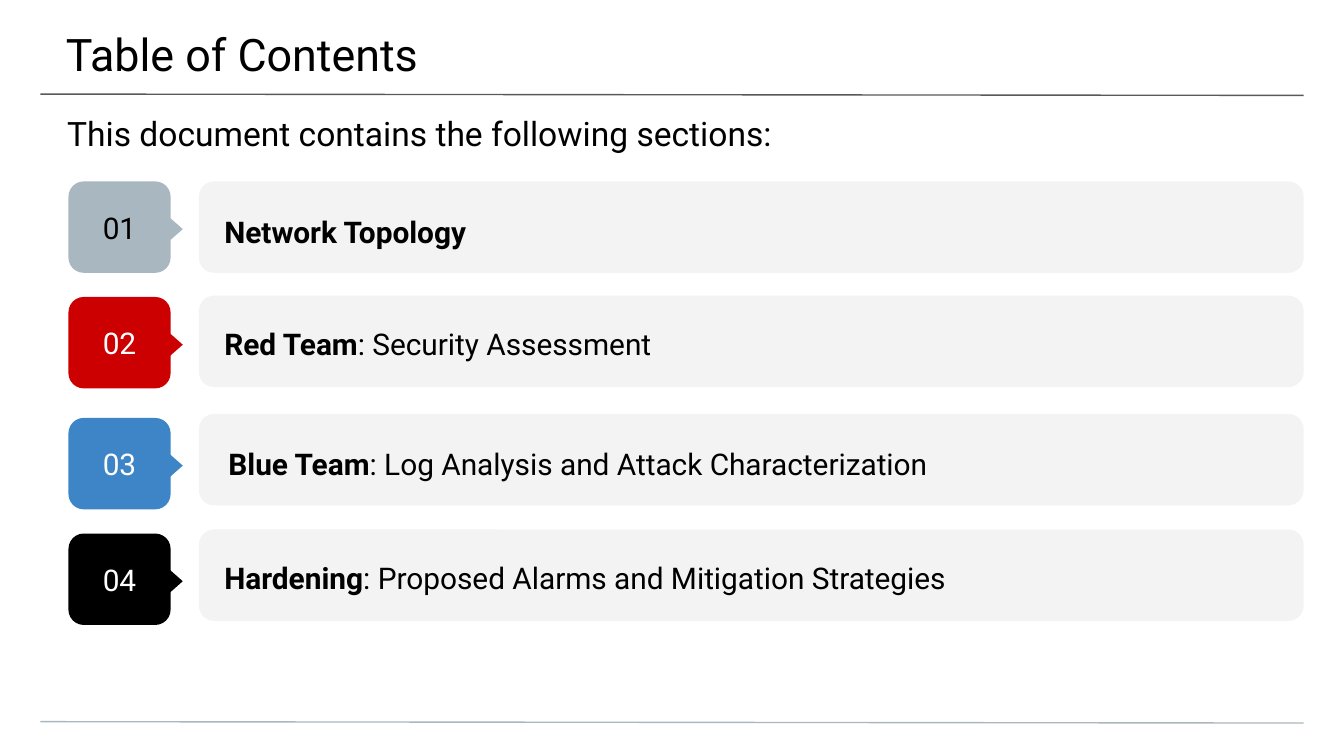
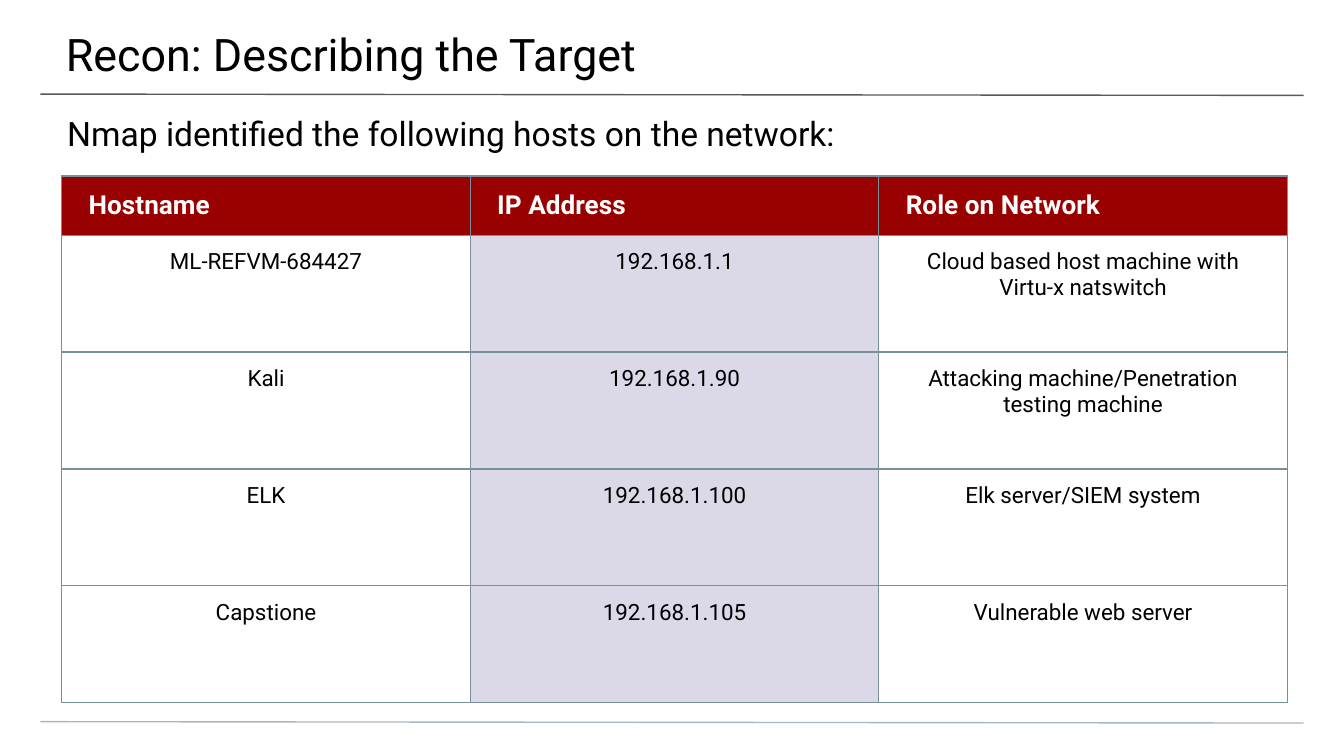
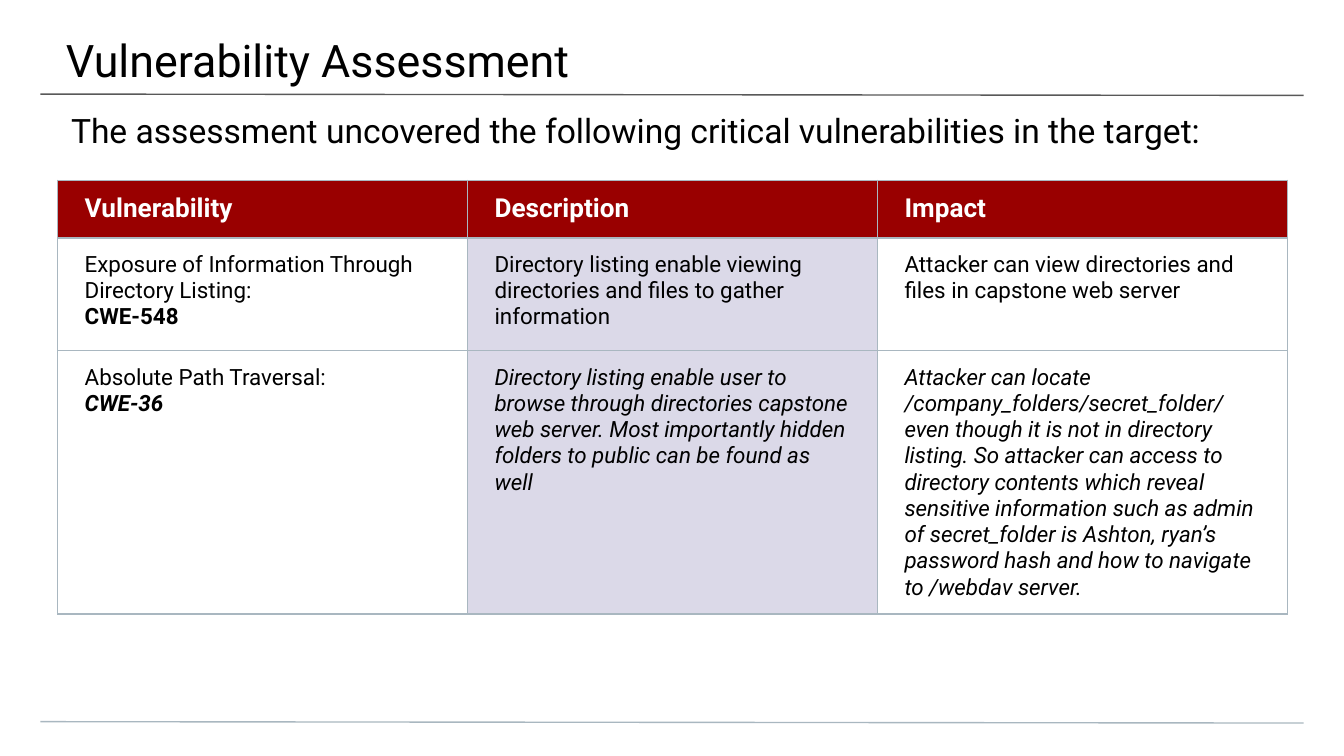
from lxml import etree
from pptx import Presentation
from pptx.dml.color import RGBColor
from pptx.enum import shapes, text
from pptx.oxml.ns import qn
from pptx.util import Inches, Pt

# Shared style
PAGE_WIDTH = 10
PAGE_HEIGHT = PAGE_WIDTH * 9 / 16
FONT = "Roboto"
BLACK, WHITE = "000000", "FFFFFF"
PANEL, STEEL, RULE = "F3F3F3", "A9B7C0", "595959"
HEADER, MIDDLE, SLATE = "990000", "DBD9E8", "78909C"
RULES = [(0.7, RULE), (5.37, STEEL)]
TITLE_INSETS = (0.5, 0.2, 0.3, 0.1)
LEAD_INSETS = (0.5, 0.1, 0.5, 0)
CELL_INSETS = (0.2, 0.1, 0.2, 0.1)

# Content: a paragraph is a list of (text, style) runs, style being "", "b", "i" or "bi"
CONTENTS_TITLE = "Table of Contents"
CONTENTS_LEAD = "This document contains the following sections:"
# number, badge fill, number colour, badge top, panel top, label left, label top, label runs
SECTIONS = [
    ("01", STEEL, BLACK, 1.35, 1.35, -0.03, 1.37, [("Network Topology", "b")]),
    ("02", "CC0000", WHITE, 2.21, 2.2, -0.03, 2.21,
     [("Red Team", "b"), (": Security Assessment", "")]),
    ("03", "3D85C6", WHITE, 3.11, 3.08, 0, 3.1,
     [("Blue Team", "b"), (": Log Analysis and Attack Characterization", "")]),
    ("04", BLACK, WHITE, 3.97, 3.94, -0.03, 3.95,
     [("Hardening", "b"), (": Proposed Alarms and Mitigation Strategies", "")]),
]

RECON_TITLE = "Recon: Describing the Target"
RECON_LEAD = "Nmap identified the following hosts on the network:"
HOST_HEADS = ["Hostname", "IP Address", "Role on Network"]
HOSTS = [
    ("ML-REFVM-684427", "192.168.1.1", "Cloud based host machine with Virtu-x natswitch"),
    ("Kali", "192.168.1.90", "Attacking machine/Penetration testing machine"),
    ("ELK", "192.168.1.100", "Elk server/SIEM system"),
    ("Capstione", "192.168.1.105", "Vulnerable web server"),
]

ASSESSMENT_TITLE = "Vulnerability Assessment"
ASSESSMENT_LEAD = ("The assessment uncovered the following critical "
                   "vulnerabilities in the target:")
VULNERABILITY_HEADS = ["Vulnerability", "Description", "Impact"]
VULNERABILITIES = [
    [
        [[("Exposure of Information Through Directory Listing:", "")], [("CWE-548", "b")]],
        [[("Directory listing enable viewing directories and files to gather "
           "information", "")]],
        [[("Attacker can view directories and files in capstone web server", "")]],
    ],
    [
        [[("Absolute Path Traversal:", "")], [("CWE-36", "bi")]],
        [[("Directory listing enable user to browse through directories capstone web "
           "server. Most importantly hidden folders to public can be found as well", "i")]],
        [[("Attacker can locate /company_folders/secret_folder/ even though it is not in "
           "directory listing. So attacker can access to directory contents which reveal "
           "sensitive information such as admin of secret_folder is Ashton, ryan’s "
           "password hash and how to navigate to /webdav server.", "i")]],
    ],
]


def rgb(value):
    return RGBColor.from_string(value)


def place(shape, left, top, width, height):
    shape.left, shape.top = Inches(left), Inches(top)
    shape.width, shape.height = Inches(width), Inches(height)


def set_insets(target, insets):
    """Set the margins of a text frame or a table cell."""
    (target.margin_left, target.margin_top,
     target.margin_right, target.margin_bottom) = map(Inches, insets)


def write(frame, paragraphs, size, colour=BLACK, align=text.PP_ALIGN.LEFT, spacing=None):
    for index, runs in enumerate(paragraphs):
        para = frame.paragraphs[0] if index == 0 else frame.add_paragraph()
        para.alignment = align
        para.space_before = Pt(0)
        if spacing:
            para.line_spacing = spacing
        for words, style in runs:
            span = para.add_run()
            span.text = words
            span.font.name, span.font.size = FONT, Pt(size)
            span.font.bold, span.font.italic = "b" in style, "i" in style
            span.font.color.rgb = rgb(colour)


def set_frame(shape, insets, anchor=text.MSO_ANCHOR.TOP):
    frame = shape.text_frame
    frame.word_wrap = True
    frame.auto_size = text.MSO_AUTO_SIZE.NONE
    frame.vertical_anchor = anchor
    set_insets(frame, insets)
    return frame


def add_page(deck, layout, title, title_top=0, lead=None):
    """Add a page with its two rules, title and optional subtitle."""
    page = deck.slides.add_slide(deck.slide_layouts[layout])
    for top, colour in RULES:
        rule = page.shapes.add_connector(
            shapes.MSO_CONNECTOR.STRAIGHT,
            Inches(0.3), Inches(top), Inches(9.7), Inches(top + 0.01))
        rule.line.color.rgb, rule.line.width = rgb(colour), Pt(0.75)
        etree.SubElement(rule._element.spPr, qn("a:effectLst"))
    place(page.shapes.title, -0.01, title_top, 10.03, 0.58)
    write(set_frame(page.shapes.title, TITLE_INSETS), [[(title, "")]], 24)
    if lead:
        subtitle = page.placeholders[1]
        place(subtitle, 0, 0.74, PAGE_WIDTH, 0.4)
        write(set_frame(subtitle, LEAD_INSETS), [[(lead, "")]], 18)
    return page


def add_filled(parent, preset, area, fill):
    shape = parent.shapes.add_shape(preset, *map(Inches, area))
    shape.shadow.inherit = False
    shape.fill.solid()
    shape.fill.fore_color.rgb = rgb(fill)
    shape.line.fill.background()
    return shape


def add_section(page, number, fill, ink, badge_top, panel_top, label_left, label_top, runs):
    rounded = shapes.MSO_SHAPE.ROUNDED_RECTANGLE
    middle = text.MSO_ANCHOR.MIDDLE
    add_filled(page, rounded, (1.48, panel_top, 8.22, 0.68), PANEL)
    # Numbered badge with its pointer
    group = page.shapes.add_group_shape()
    badge = add_filled(group, rounded, (0.51, badge_top, 0.76, 0.68), fill)
    write(set_frame(badge, (0.1,) * 4, middle), [[(number, "")]], 16, ink,
          text.PP_ALIGN.CENTER)
    pointer = add_filled(group, shapes.MSO_SHAPE.FLOWCHART_EXTRACT,
                         (1.07, badge_top + 0.25, 0.37, 0.21), fill)
    pointer.rotation = 90
    # Section name
    label = page.shapes.add_textbox(
        *map(Inches, (label_left, label_top, 10.03, 0.66)))
    write(set_frame(label, (1.7, 0, 0.5, 0), middle), [runs], 16, spacing=1.15)


def set_borders(cell, colour):
    properties = cell._tc.get_or_add_tcPr()
    for side in ("lnL", "lnR", "lnT", "lnB"):
        line = etree.SubElement(properties, qn(f"a:{side}"), w=str(Pt(0.75)))
        fill = etree.SubElement(line, qn("a:solidFill"))
        etree.SubElement(fill, qn("a:srgbClr"), val=colour)


def add_grid(page, left, top, column_width, row_heights, heads, rows, border, align):
    """Add a table with a dark header and a tinted middle column."""
    header = [[[(head, "b")]] for head in heads]
    grid = page.shapes.add_table(
        len(row_heights), len(heads), Inches(left), Inches(top),
        Inches(column_width * len(heads)), Inches(sum(row_heights))).table
    grid.first_row = grid.horz_banding = False
    for column in grid.columns:
        column.width = Inches(column_width)
    for r, (height, row) in enumerate(zip(row_heights, [header] + rows)):
        grid.rows[r].height = Inches(height)
        for c, paragraphs in enumerate(row):
            cell = grid.cell(r, c)
            set_insets(cell, CELL_INSETS)
            set_borders(cell, border)
            fill = HEADER if r == 0 else MIDDLE if c == 1 else None
            if fill:
                cell.fill.solid()
                cell.fill.fore_color.rgb = rgb(fill)
            else:
                cell.fill.background()
            if r == 0:
                cell.vertical_anchor = text.MSO_ANCHOR.MIDDLE
                write(cell.text_frame, paragraphs, 14, WHITE)
            else:
                write(cell.text_frame, paragraphs, 12, align=align)


def main():
    deck = Presentation()
    deck.slide_width, deck.slide_height = Inches(PAGE_WIDTH), Inches(PAGE_HEIGHT)

    # Table of contents
    page = add_page(deck, 0, CONTENTS_TITLE, lead=CONTENTS_LEAD)
    for section in SECTIONS:
        add_section(page, *section)

    # Hosts found
    page = add_page(deck, 0, RECON_TITLE, lead=RECON_LEAD)
    hosts = [[[[(value, "")]] for value in host] for host in HOSTS]
    add_grid(page, 0.46, 1.31, 3.04, [0.44] + [0.87] * len(hosts), HOST_HEADS, hosts,
             SLATE, text.PP_ALIGN.CENTER)

    # Vulnerabilities found
    page = add_page(deck, 5, ASSESSMENT_TITLE, title_top=0.04)
    add_grid(page, 0.43, 1.34, 3.05, [0.43] + [0.84] * len(VULNERABILITIES),
             VULNERABILITY_HEADS, VULNERABILITIES, STEEL, text.PP_ALIGN.LEFT)
    lead = page.shapes.add_textbox(*map(Inches, (0.43, 0.77, 9.15, 0.4)))
    write(set_frame(lead, (0.1, 0.05, 0.1, 0.05)), [[(ASSESSMENT_LEAD, "")]], 18)

    deck.save("out.pptx")


if __name__ == "__main__":
    main()
